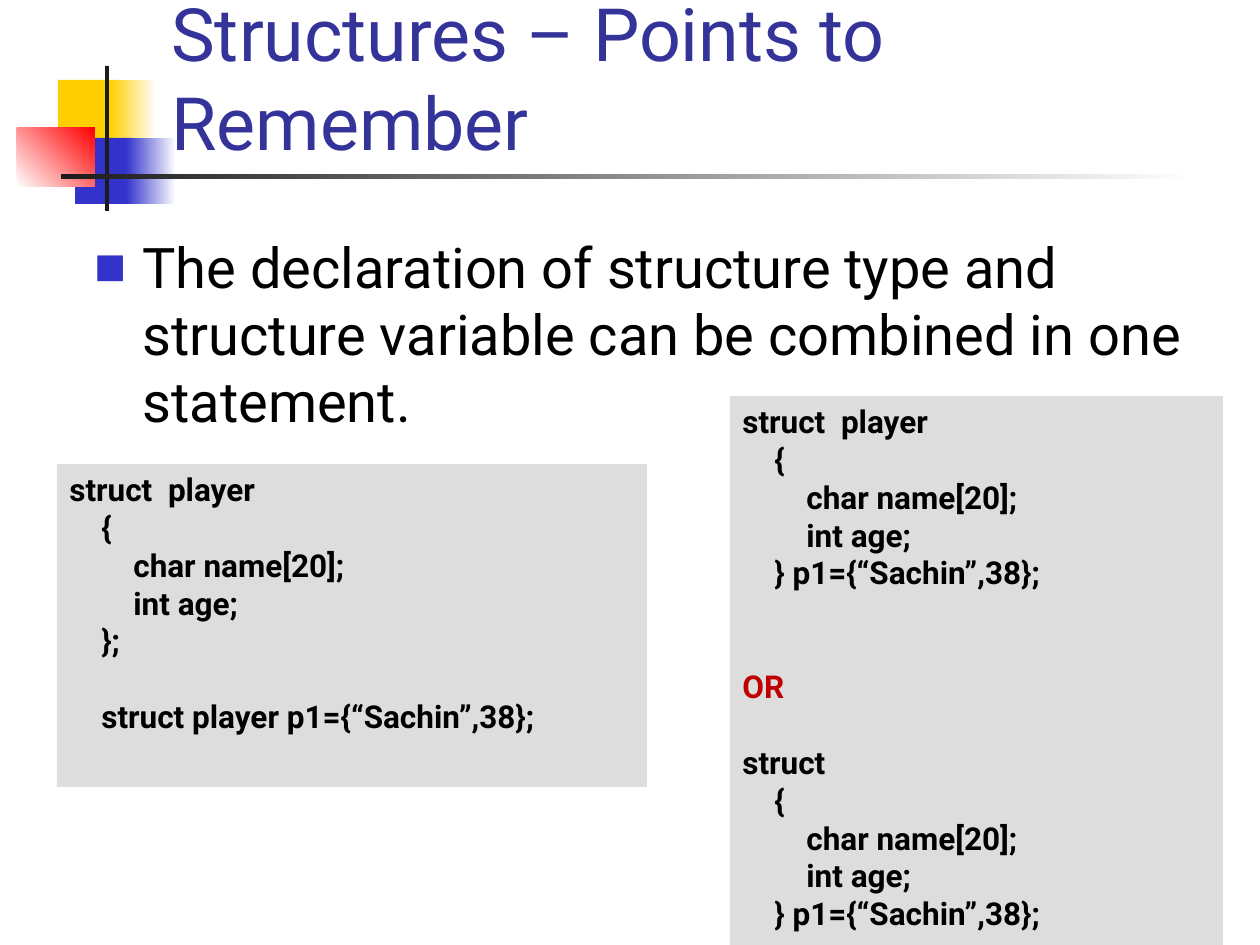
"""Build the slide on declaring and initialising C structures."""
from lxml import etree
from pptx import Presentation
from pptx.dml.color import RGBColor
from pptx.enum.shapes import MSO_SHAPE
from pptx.enum.text import MSO_ANCHOR, PP_ALIGN
from pptx.oxml.ns import qn
from pptx.util import Emu, Pt

RECT = MSO_SHAPE.RECTANGLE
TOP, BOTTOM = MSO_ANCHOR.TOP, MSO_ANCHOR.BOTTOM
LEFT = PP_ALIGN.LEFT
PX = 914400 / 126
INDENT = 32
LINE = 38
C = {
    "yellow": "FFCF01", "blue": "3333CC", "red": "FF0000", "dark": "1C1C1C",
    "white": "FFFFFF", "title": "333399", "text": "000000",
    "panel": "DDDDDD", "or": "C00000",
}


def add_rect(box, color, end=None, angle=0):
    sp = s.shapes.add_shape(RECT, *[Emu(round(v * PX)) for v in box])
    sp.shadow.inherit = False
    sp.line.fill.background()
    if end:
        sp.fill.gradient()
        sp.fill.gradient_angle = angle
        for stop, name in zip(sp.fill.gradient_stops, (color, end)):
            stop.color.rgb = RGBColor.from_string(C[name])
    else:
        sp.fill.solid()
        sp.fill.fore_color.rgb = RGBColor.from_string(C[color])
    return sp


def add_text(p, text, size=18, color="text", bold=False, indent=0, hanging=0, before=0):
    p.alignment = LEFT
    p.space_before = Emu(round(before * PX))
    pPr = p._p.get_or_add_pPr()
    pPr.set("marL", str(round(indent * PX)))
    pPr.set("indent", str(round(-hanging * PX)))
    r = p.add_run()
    r.text = text
    r.font.name = "Roboto"
    r.font.size = Pt(size)
    r.font.bold = bold
    r.font.color.rgb = RGBColor.from_string(C[color])


prs = Presentation()
prs.slide_width, prs.slide_height = [Emu(round(v * PX)) for v in (1260, 945)]
s = prs.slides.add_slide(prs.slide_layouts[6])

for box, color, end, angle in [
    ((58, 80, 60, 66), "yellow", None, 0),
    ((110, 80, 46, 66), "yellow", "white", 0),
    ((75, 138, 58, 66), "blue", None, 0),
    ((126, 138, 50, 66), "blue", "white", 0),
    ((17, 128, 78, 59), "white", "red", 45),
    ((105, 66, 4, 145), "dark", None, 0),
    ((61, 174, 1134, 5), "dark", "white", 0),
]:
    add_rect(box, color, end, angle)

frames = []
for box, anchor in [((159, 14, 1101, 157), BOTTOM), ((82, 226, 1152, 619), TOP)]:
    tf = s.shapes.add_textbox(*[Emu(round(v * PX)) for v in box]).text_frame
    tf.word_wrap = True
    tf.vertical_anchor = anchor
    frames.append(tf)
title, body = frames

add_text(title.paragraphs[0], "Structures – Points to Remember", size=42, color="title")

p = body.paragraphs[0]
add_text(p, "The declaration of structure type and structure variable can be "
            "combined in one statement.", size=32, indent=48, hanging=48, before=11)
pPr = p._p.get_or_add_pPr()
bullet_color = etree.SubElement(pPr, qn("a:buClr"))
etree.SubElement(bullet_color, qn("a:srgbClr"), val=C["blue"])
etree.SubElement(pPr, qn("a:buSzPct"), val="60000")
etree.SubElement(pPr, qn("a:buFont"), typeface="Roboto")
etree.SubElement(pPr, qn("a:buChar"), char="■")

# each code line: text, indent level, empty lines above, colour
members = [("{", 1, 0, "text"), ("char name[20];", 2, 0, "text"), ("int age;", 2, 0, "text")]
named = ("struct  player", 0, 0, "text")
closing = ("} p1={“Sachin”,38};", 1, 0, "text")
separate = [named, *members, ("};", 1, 0, "text"),
            ("struct player p1={“Sachin”,38};", 1, 1, "text")]
combined = [named, *members, closing, ("OR", 0, 2, "or"),
            ("struct", 0, 1, "text"), *members, closing]

for box, code in [((57, 464, 590, 323), separate), ((730, 396, 493, 549), combined)]:
    tf = add_rect(box, "panel").text_frame
    tf.word_wrap = True
    tf.vertical_anchor = TOP
    for i, (text, level, gap, color) in enumerate(code):
        p = tf.add_paragraph() if i else tf.paragraphs[0]
        add_text(p, text, color=color, bold=True, indent=level * INDENT, before=gap * LINE)

prs.save("out.pptx")
